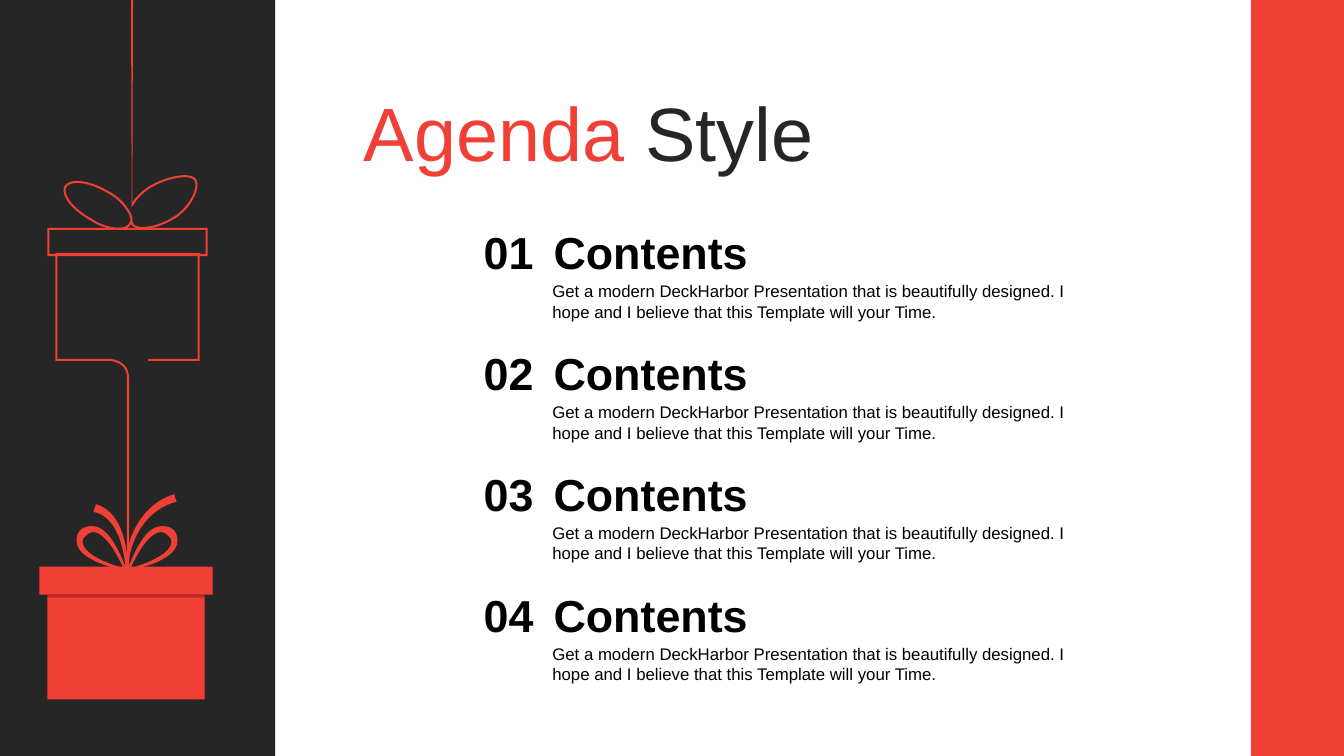
from dataclasses import dataclass
from math import hypot

from lxml.etree import SubElement
from pptx import Presentation
from pptx.dml.color import RGBColor
from pptx.enum.shapes import MSO_SHAPE as Preset
from pptx.enum.text import MSO_ANCHOR as Anchor, MSO_AUTO_SIZE as AutoSize, PP_ALIGN as Align
from pptx.oxml.ns import qn
from pptx.util import Inches, Pt


@dataclass(frozen=True)
class Theme:
    """Colours and type sizes of the slide."""
    red: str = "F04036"
    dark: str = "262626"
    shade: str = "89110A"
    text: str = "000000"
    font: str = "Arial"
    title_size: int = 54
    heading_size: int = 32
    body_size: int = 12


@dataclass(frozen=True)
class Box:
    """A region in inches."""
    left: float
    top: float
    width: float
    height: float

    def inner(self, x, y, width, height):
        """Return a region placed relative to this one."""
        return Box(self.left + x, self.top + y, width, height)

    def lengths(self):
        """Return left, top, width and height as lengths."""
        return [Inches(n) for n in (self.left, self.top, self.width, self.height)]


THEME = Theme()
DESCRIPTION = ("Get a modern DeckHarbor Presentation that is beautifully designed. "
               "I hope and I believe that this Template will your Time.")
THIN = (0.02, 0.02, 0.02)

LID = [(1.27, 2.27), (2.05, 2.27), (2.05, 2.53), (0.48, 2.53), (0.48, 2.27), (1.27, 2.27)]
BODY_AND_STRING = [(1.47, 3.57), (1.97, 3.57), (1.97, 2.52), (0.56, 2.52), (0.56, 3.57),
                   (1.05, 3.57), (1.06, 3.57, 1.27, 3.56, 1.27, 3.75), (1.27, 5.87)]
LEFT_BOW = [(1.18, 2.27), (1.1, 2.27, 0.99, 2.24, 0.89, 2.17),
            (0.71, 2.07, 0.61, 1.93, 0.65, 1.85), (0.7, 1.78, 0.87, 1.79, 1.06, 1.9),
            (1.14, 1.94, 1.21, 2, 1.25, 2.06), (1.3, 2.13, 1.32, 2.18, 1.29, 2.22),
            (1.27, 2.25, 1.24, 2.27, 1.18, 2.27)]
STRING_AND_RIGHT_BOW = [(1.31, 0), (1.31, 2.04), (1.34, 1.97, 1.42, 1.9, 1.48, 1.86),
                        (1.66, 1.75, 1.9, 1.71, 1.94, 1.79),
                        (1.98, 1.86, 1.89, 2.07, 1.71, 2.17),
                        (1.54, 2.27, 1.35, 2.29, 1.31, 2.22), (1.31, 2.2)]
RIGHT_LOOP = [(1.28, 5.64), (1.33, 5.53, 1.45, 5.25, 1.6, 5.25),
              (1.67, 5.25, 1.73, 5.3, 1.73, 5.37), (1.73, 5.5, 1.5, 5.6, 1.28, 5.65)]
RIGHT_TAIL = [(1.26, 5.71), (1.24, 5.33, 1.45, 5.02, 1.74, 4.94)]
LEFT_TAIL = [(1.26, 5.69), (1.25, 5.35, 1.15, 5.09, 0.94, 5.04)]
KNOT_X = 1.26


def mirror(route):
    """Reflect a route about the knot of the lower gift."""
    return [tuple(2 * KNOT_X - n if i % 2 == 0 else n for i, n in enumerate(step))
            for step in route]


def flatten(route, steps=16):
    """Turn lines and cubic curves into a list of points."""
    points = [route[0]]
    for step in route[1:]:
        if len(step) == 2:
            points.append(step)
            continue
        controls = [points[-1], step[:2], step[2:4], step[4:]]
        for k in range(1, steps + 1):
            t = k / steps
            weights = ((1 - t) ** 3, 3 * t * (1 - t) ** 2, 3 * t * t * (1 - t), t ** 3)
            points.append(tuple(sum(w * c[axis] for w, c in zip(weights, controls))
                                for axis in (0, 1)))
    return points


def direction(start, end):
    """Return the unit vector from start to end."""
    dx, dy = end[0] - start[0], end[1] - start[1]
    length = hypot(dx, dy) or 1
    return dx / length, dy / length


def paint(shape, color, alpha=None):
    """Fill a shape without outline or shadow."""
    shape.shadow.inherit = False
    shape.line.fill.background()
    shape.fill.solid()
    shape.fill.fore_color.rgb = RGBColor.from_string(color)
    if alpha is not None:
        tint = shape.element.spPr.find(f".//{qn('a:srgbClr')}")
        SubElement(tint, qn("a:alpha"), val=str(alpha * 1000))


def add_band(slide, box, color, alpha=None):
    """Draw a plain rectangle that fills its box."""
    paint(slide.shapes.add_shape(Preset.RECTANGLE, *box.lengths()), color, alpha)


def add_ribbon(slide, box, route, widths=THIN):
    """Draw a ribbon along a route, with its width at start, middle and end."""
    points = flatten(route)
    last = len(points) - 1
    left_edge, right_edge = [], []
    for i, (x, y) in enumerate(points):
        before = direction(points[max(i - 1, 0)], points[max(i, 1)])
        after = direction(points[min(i, last - 1)], points[min(i + 1, last)])
        along = direction((0, 0), (before[0] + after[0], before[1] + after[1]))
        miter = max(along[0] * after[0] + along[1] * after[1], 0.7)
        position = 2 * i / last
        leg = min(int(position), 1)
        width = widths[leg] + (widths[leg + 1] - widths[leg]) * (position - leg)
        reach = width / 2 / miter
        left_edge.append((x - along[1] * reach, y + along[0] * reach))
        right_edge.append((x + along[1] * reach, y - along[0] * reach))
    outline = [(Inches(box.left + x), Inches(box.top + y))
               for x, y in left_edge + right_edge[::-1]]
    builder = slide.shapes.build_freeform(*outline[0])
    builder.add_line_segments(outline[1:], close=True)
    paint(builder.convert_to_shape(), THEME.red)


def add_text(slide, box, runs, *, size, bold=False, align=Align.LEFT,
             anchor=Anchor.TOP, inset=0.1):
    """Write one paragraph of (text, colour) runs in a box."""
    frame = slide.shapes.add_textbox(*box.lengths()).text_frame
    frame.word_wrap = True
    frame.auto_size = AutoSize.SHAPE_TO_FIT_TEXT
    frame.vertical_anchor = anchor
    frame.margin_left = frame.margin_right = Inches(inset)
    paragraph = frame.paragraphs[0]
    paragraph.alignment = align
    for words, color in runs:
        run = paragraph.add_run()
        run.text = words
        run.font.name = THEME.font
        run.font.size = Pt(size)
        run.font.bold = bold
        run.font.color.rgb = RGBColor.from_string(color)


def add_hanging_gift(slide, box):
    """Draw the outlined gift and its strings."""
    for route in (LID, BODY_AND_STRING, LEFT_BOW, STRING_AND_RIGHT_BOW):
        add_ribbon(slide, box, route)


def add_solid_gift(slide, box):
    """Draw the filled gift with its bow."""
    for loop in (RIGHT_LOOP, mirror(RIGHT_LOOP)):
        add_ribbon(slide, box, loop, (0.02, 0.08, 0.02))
    for tail in (RIGHT_TAIL, LEFT_TAIL):
        add_ribbon(slide, box, tail, (0.02, 0.05, 0.08))
    add_band(slide, box.inner(0.39, 5.62, 1.72, 0.28), THEME.red)
    add_band(slide, box.inner(0.47, 5.9, 1.56, 1.04), THEME.red)
    add_band(slide, box.inner(0.47, 5.9, 1.56, 0.03), THEME.shade, alpha=46)


def add_agenda_item(slide, box, number):
    """Write the number, heading and description of one item."""
    heading = dict(size=THEME.heading_size, bold=True, inset=0.12)
    add_text(slide, box.inner(0.93, 0.56, 5.58, 0.5), [(DESCRIPTION, THEME.text)],
             size=THEME.body_size)
    add_text(slide, box.inner(0.92, 0, 5.58, 0.64), [("Contents", THEME.text)], **heading)
    add_text(slide, box.inner(0, 0, 1.19, 0.64), [(f"{number:02}", THEME.text)],
             align=Align.CENTER, **heading)


def add_agenda(slide, box, count=4):
    """Stack the agenda items at equal steps down the box."""
    pitch = box.height / count
    for i in range(count):
        add_agenda_item(slide, box.inner(0, i * pitch, box.width, pitch), i + 1)


def main():
    """Build the agenda slide and save it."""
    deck = Presentation()
    deck.slide_width, deck.slide_height = Inches(13.33), Inches(7.5)
    slide = deck.slides.add_slide(deck.slide_layouts[6])
    add_band(slide, Box(-0.05, 0, 2.78, 7.5), THEME.dark)
    add_text(slide, Box(3.51, 0.8, 9.82, 1.01),
             [("Agenda", THEME.red), (" Style", THEME.dark)],
             size=THEME.title_size, anchor=Anchor.MIDDLE)
    artwork = Box(0, 0, 2.73, 7.5)
    add_hanging_gift(slide, artwork)
    add_solid_gift(slide, artwork)
    add_agenda(slide, Box(4.45, 2.18, 6.5, 4.8))
    add_band(slide, Box(12.41, 0, 0.94, 7.5), THEME.red)
    deck.save("out.pptx")


if __name__ == "__main__":
    main()
